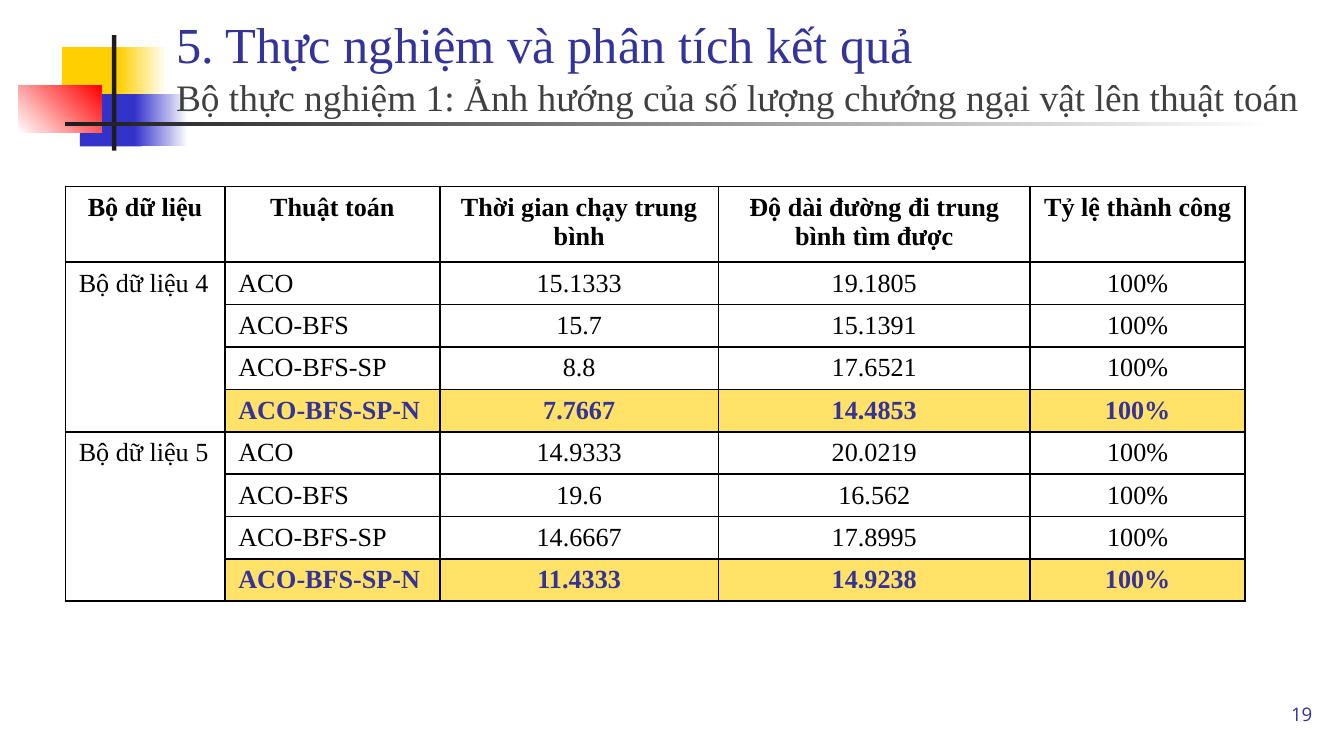
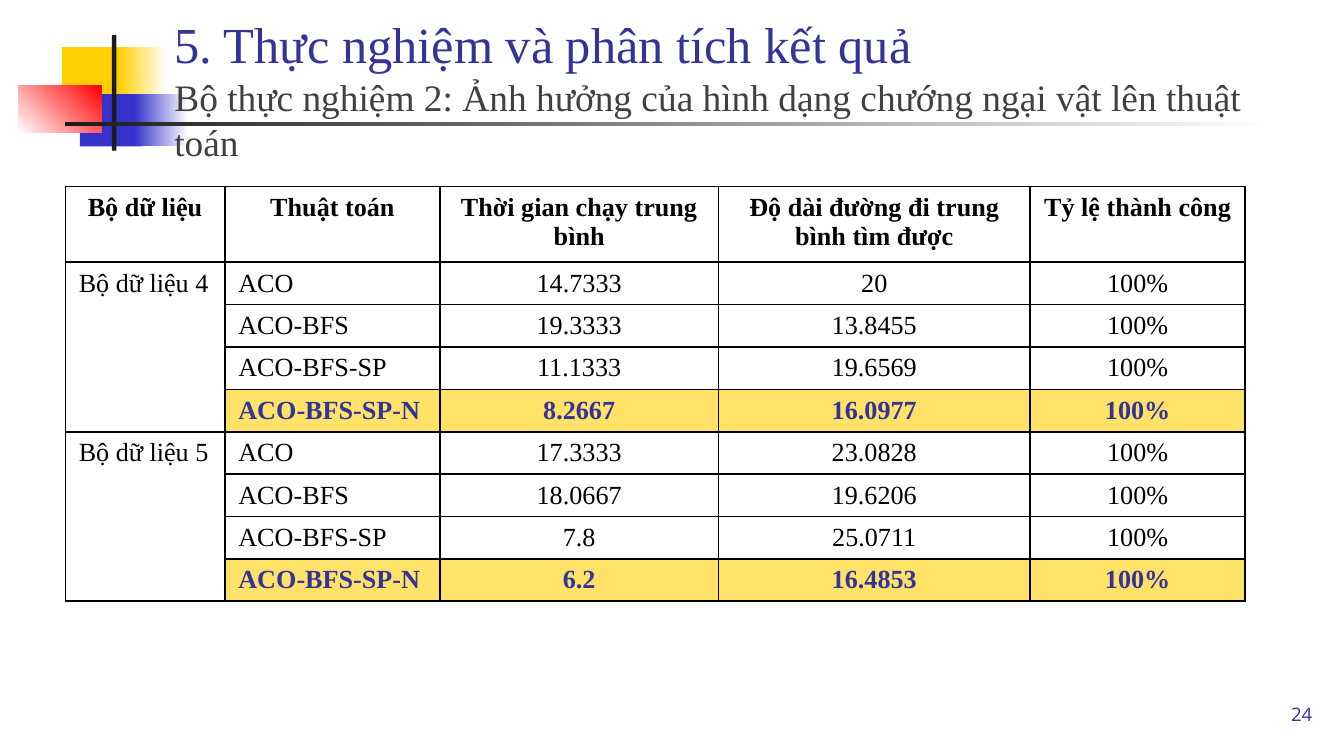
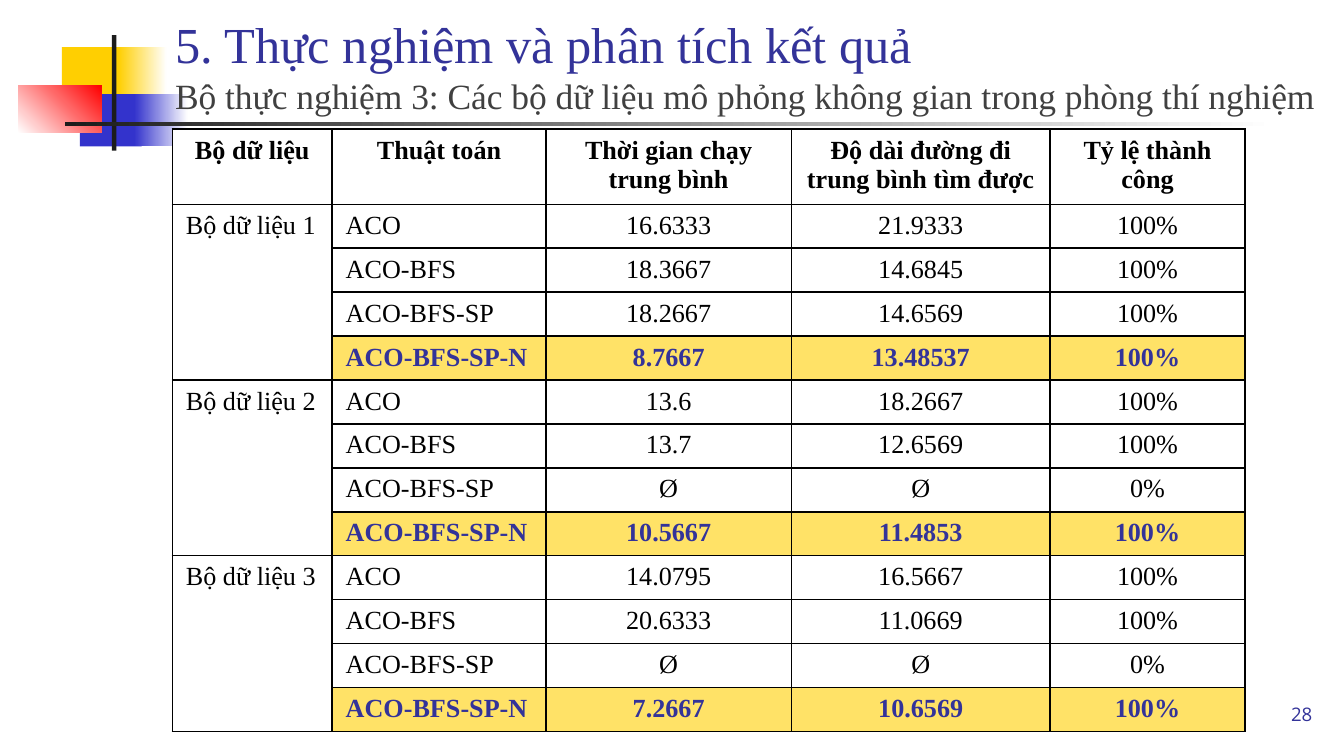
from lxml.etree import SubElement
from pptx import Presentation
from pptx.dml.color import RGBColor
from pptx.enum.shapes import MSO_SHAPE as Preset
from pptx.enum.text import MSO_ANCHOR as Anchor, MSO_AUTO_SIZE as AutoSize, PP_ALIGN as Align
from pptx.oxml import parse_xml
from pptx.oxml.ns import nsdecls, qn
from pptx.util import Pt

WHITE = RGBColor(0xFF, 0xFF, 0xFF)
BLACK = RGBColor(0x00, 0x00, 0x00)
YELLOW = RGBColor(0xFF, 0xCF, 0x01)
BLUE = RGBColor(0x33, 0x33, 0xCC)
RED = RGBColor(0xFF, 0x00, 0x00)
CHARCOAL = RGBColor(0x1C, 0x1C, 0x1C)
INDIGO = RGBColor(0x33, 0x33, 0x99)
GREY = RGBColor(0x40, 0x40, 0x40)
HIGHLIGHT = RGBColor(0xFF, 0xE2, 0x67)

SERIF = "Times New Roman"
SANS = "Open Sans"
INSET = 7.2

HEADING = "5. Thực nghiệm và phân tích kết quả"
HEADERS = ("Bộ dữ liệu", "Thuật toán", "Thời gian chạy trung bình",
           "Độ dài đường đi trung bình tìm được", "Tỷ lệ thành công")
ALGORITHMS = ("ACO", "ACO-BFS", "ACO-BFS-SP", "ACO-BFS-SP-N")
PROPOSED = ALGORITHMS[-1]
NO_PATH = "Ø"

# Left, top, column widths, header height and row height of a results table
WIDE = (35, 100, (85.5, 115.2, 149.2, 167, 115.2), 40.5, 22.7)
COMPACT = (92.4, 69.2, (85.6, 114.5, 131.5, 138.6, 104.4), 40.3, 23.55)

# Per data set: (running time, path length) of each algorithm in order
EXPERIMENTS = (
    dict(
        number=19, title_box=(87.1, 618.5), size=20, layout=WIDE,
        subtitle="Bộ thực nghiệm 1: Ảnh hướng của số lượng chướng ngại vật lên thuật toán",
        results={
            "Bộ dữ liệu 4": (("15.1333", "19.1805"), ("15.7", "15.1391"),
                             ("8.8", "17.6521"), ("7.7667", "14.4853")),
            "Bộ dữ liệu 5": (("14.9333", "20.0219"), ("19.6", "16.562"),
                             ("14.6667", "17.8995"), ("11.4333", "14.9238")),
        }),
    dict(
        number=24, title_box=(86.2, 624.2), size=20, layout=WIDE,
        subtitle="Bộ thực nghiệm 2: Ảnh hưởng của hình dạng chướng ngại vật lên thuật toán",
        results={
            "Bộ dữ liệu 4": (("14.7333", "20"), ("19.3333", "13.8455"),
                             ("11.1333", "19.6569"), ("8.2667", "16.0977")),
            "Bộ dữ liệu 5": (("17.3333", "23.0828"), ("18.0667", "19.6206"),
                             ("7.8", "25.0711"), ("6.2", "16.4853")),
        }),
    dict(
        number=28, title_box=(86.6, 633.4), size=19, layout=COMPACT,
        subtitle="Bộ thực nghiệm 3: Các bộ dữ liệu mô phỏng không gian trong phòng thí nghiệm",
        results={
            "Bộ dữ liệu 1": (("16.6333", "21.9333"), ("18.3667", "14.6845"),
                             ("18.2667", "14.6569"), ("8.7667", "13.48537")),
            "Bộ dữ liệu 2": (("13.6", "18.2667"), ("13.7", "12.6569"),
                             (NO_PATH, NO_PATH), ("10.5667", "11.4853")),
            "Bộ dữ liệu 3": (("14.0795", "16.5667"), ("20.6333", "11.0669"),
                             (NO_PATH, NO_PATH), ("7.2667", "10.6569")),
        }),
)


class Deck:
    def __init__(self):
        self.presentation = Presentation()
        self.presentation.slide_width = Pt(720)
        self.presentation.slide_height = Pt(405)
        self.slide = None

    def new_slide(self):
        title_only = self.presentation.slide_layouts[5]
        self.slide = self.presentation.slides.add_slide(title_only)
        self.slide.background.fill.solid()
        self.slide.background.fill.fore_color.rgb = WHITE

    def run(self, paragraph, text, size, color, font=SERIF, bold=False):
        run = paragraph.add_run()
        run.text = text
        run.font.size = Pt(size)
        run.font.name = font
        run.font.bold = bold
        run.font.color.rgb = color

    def frame(self, text_frame, anchor):
        """Set wrapping, anchor and insets, and return the first paragraph."""
        text_frame.word_wrap = True
        text_frame.auto_size = AutoSize.NONE
        text_frame.vertical_anchor = anchor
        text_frame.margin_left = text_frame.margin_right = Pt(INSET)
        text_frame.margin_top = text_frame.margin_bottom = Pt(INSET)
        return text_frame.paragraphs[0]

    def block(self, left, top, width, height, color, fade_to=None, angle=0):
        """Rectangle in one colour, or fading from it to another."""
        block = self.slide.shapes.add_shape(
            Preset.RECTANGLE, Pt(left), Pt(top), Pt(width), Pt(height))
        block.shadow.inherit = False
        block.line.fill.background()
        if fade_to is None:
            block.fill.solid()
            block.fill.fore_color.rgb = color
            return
        block.fill.gradient()
        block.fill.gradient_angle = angle
        for stop, stop_color in zip(block.fill.gradient_stops, (color, fade_to)):
            stop.color.rgb = stop_color

    def emblem(self):
        """Coloured squares, crossing bars and the band at the bottom edge."""
        self.block(33.1, 25.2, 34.6, 28.1, YELLOW)
        self.block(63.4, 25.2, 25.9, 28.1, YELLOW, WHITE)
        self.block(42.8, 50.4, 33.1, 28.1, BLUE)
        self.block(72, 50.4, 28.8, 28.1, BLUE, WHITE)
        self.block(9.8, 45.8, 44.6, 25.4, WHITE, RED, angle=45)
        self.block(59.9, 18.9, 2.4, 61.9, CHARCOAL)
        self.block(34.8, 65.5, 648, 2.1, CHARCOAL, WHITE)
        self.block(0, 397.3, 720, 7.7, WHITE)

    def page_number(self, number):
        box = self.slide.shapes.add_textbox(Pt(667), Pt(367.2), Pt(43.2), Pt(31))
        paragraph = self.frame(box.text_frame, Anchor.MIDDLE)
        paragraph.alignment = Align.RIGHT
        self.run(paragraph, str(number), 10, INDIGO, SANS)

    def title(self, left, width, subtitle, subtitle_size):
        title = self.slide.shapes.title
        self.slide.shapes.element.append(title.element)  # in front of the emblem
        title.left, title.top = Pt(left), Pt(0)
        title.width, title.height = Pt(width), Pt(65.5)
        paragraph = self.frame(title.text_frame, Anchor.TOP)
        paragraph.alignment = Align.LEFT
        paragraph.line_spacing = 1.0
        self.run(paragraph, HEADING, 27, INDIGO)
        paragraph.add_line_break()
        self.run(paragraph, subtitle, subtitle_size, GREY)

    def border(self, cell):
        properties = cell._tc.get_or_add_tcPr()
        for index, side in enumerate(("lnL", "lnR", "lnT", "lnB")):
            line = parse_xml(f'<a:{side} {nsdecls("a")} w="{Pt(1)}"/>')
            solid = SubElement(line, qn("a:solidFill"))
            SubElement(solid, qn("a:srgbClr"), val=str(BLACK))
            properties.insert(index, line)

    def cell(self, cell, text, centred, fill=WHITE, color=BLACK, bold=False):
        cell.fill.solid()
        cell.fill.fore_color.rgb = fill
        self.border(cell)
        if text:
            paragraph = cell.text_frame.paragraphs[0]
            paragraph.alignment = Align.CENTER if centred else Align.LEFT
            self.run(paragraph, text, 14, color, bold=bold)

    def results_table(self, results, layout):
        left, top, widths, header_height, row_height = layout
        group = len(ALGORITHMS)
        body_rows = group * len(results)
        table = self.slide.shapes.add_table(
            body_rows + 1, len(HEADERS), Pt(left), Pt(top), Pt(sum(widths)),
            Pt(header_height + body_rows * row_height)).table
        table.first_row = table.horz_banding = False
        for column, width in zip(table.columns, widths):
            column.width = Pt(width)
        for index, row in enumerate(table.rows):
            row.height = Pt(row_height if index else header_height)

        for column, header in enumerate(HEADERS):
            self.cell(table.cell(0, column), header, True, bold=True)
        for set_index, (data_set, measures) in enumerate(results.items()):
            first = 1 + set_index * group
            for offset, (algorithm, (time, length)) in enumerate(zip(ALGORITHMS, measures)):
                row = first + offset
                success = "0%" if length == NO_PATH else "100%"
                style = {}
                if algorithm == PROPOSED:
                    style = dict(fill=HIGHLIGHT, color=INDIGO, bold=True)
                self.cell(table.cell(row, 0), "" if offset else data_set, False)
                for column, text in enumerate((algorithm, time, length, success), 1):
                    self.cell(table.cell(row, column), text, column > 1, **style)
            table.cell(first, 0).merge(table.cell(first + group - 1, 0))


def main():
    deck = Deck()
    for experiment in EXPERIMENTS:
        deck.new_slide()
        deck.emblem()
        deck.page_number(experiment["number"])
        deck.title(*experiment["title_box"], experiment["subtitle"], experiment["size"])
        deck.results_table(experiment["results"], experiment["layout"])
    deck.presentation.save("out.pptx")


if __name__ == "__main__":
    main()
